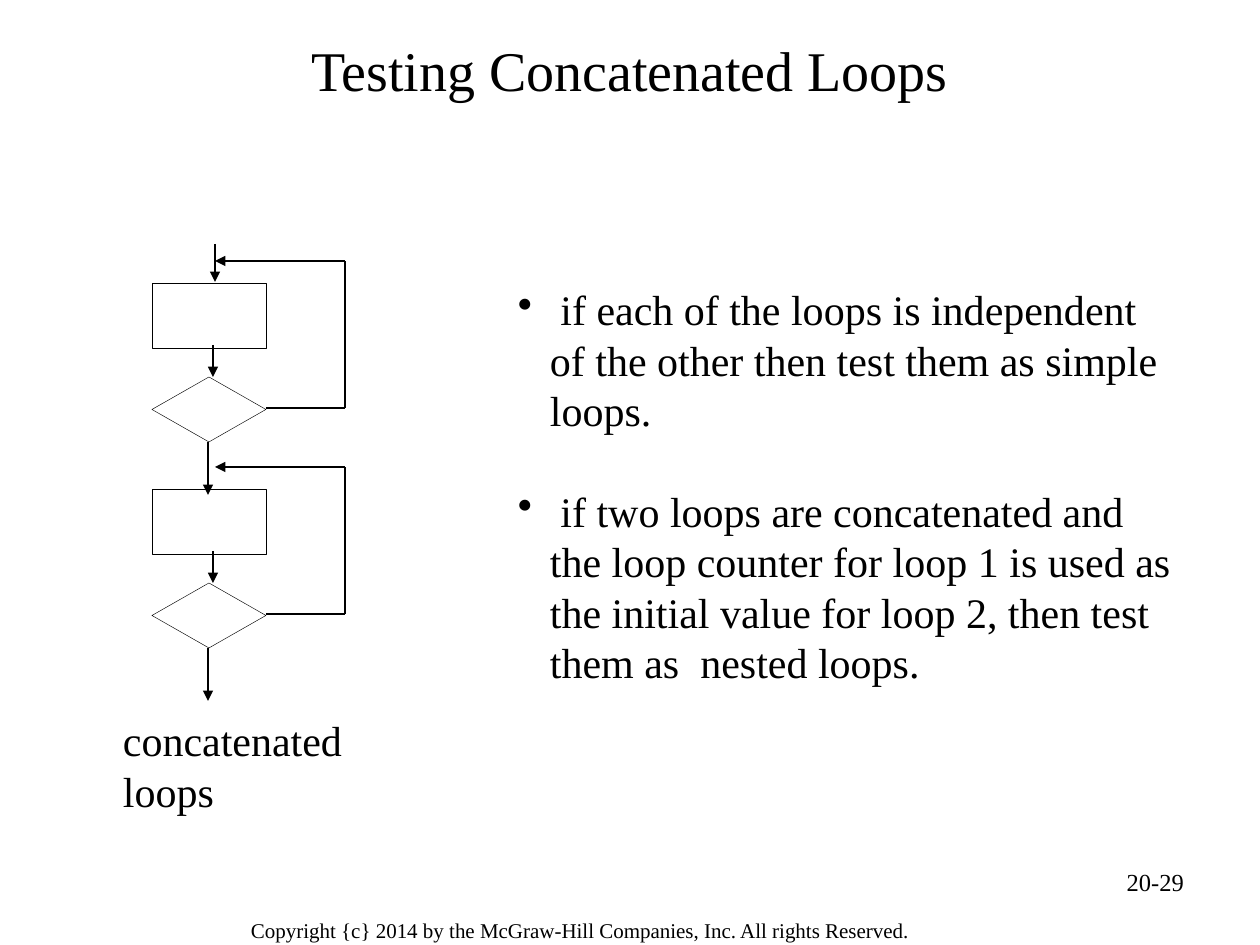
from dataclasses import dataclass

from lxml.etree import SubElement
from pptx import Presentation
from pptx.dml.color import RGBColor
from pptx.enum.shapes import MSO_CONNECTOR, MSO_SHAPE
from pptx.enum.text import MSO_ANCHOR, MSO_AUTO_SIZE, PP_ALIGN
from pptx.oxml.ns import qn
from pptx.slide import Slide
from pptx.text.text import TextFrame, _Paragraph
from pptx.util import Emu, Pt

BLACK = RGBColor(0, 0, 0)
FONT = "Times New Roman"
SCALE = 914400 / 126
LOOPS = (244, 450)
POINTS = (
    " if each of the loops is independent of the other then test them as simple loops.",
    " if two loops are concatenated and the loop counter for loop 1 is used as "
    "the initial value for loop 2, then test them as  nested loops.",
)


@dataclass(frozen=True)
class Box:
    """A place on the slide in px."""

    left: int
    top: int
    width: int
    height: int

    def emu(self) -> tuple[Emu, ...]:
        """Return the four lengths in EMU."""
        return tuple(map(px, (self.left, self.top, self.width, self.height)))


@dataclass(frozen=True)
class Label:
    """A single line of text in a box."""

    text: str
    box: Box
    size: int
    align: PP_ALIGN = PP_ALIGN.LEFT
    wrap: bool = True
    pad: tuple[int, int] = (13, 6)


@dataclass(frozen=True)
class Line:
    """A straight line, with its height counted from the top of a loop."""

    start: tuple[int, int]
    end: tuple[int, int]
    arrow: bool = True


LABELS = (
    Label("Copyright {c} 2014 by the McGraw-Hill Companies, Inc. All rights Reserved.",
          Box(237, 910, 780, 39), 12, pad=(14, 8)),
    Label("20-29", Box(903, 861, 294, 66), 14, PP_ALIGN.RIGHT),
    Label("concatenated loops", Box(110, 709, 345, 63), 24, wrap=False),
)
ENTRY = Line((215, 0), (215, 38))
LINES = (
    Line((213, 101), (213, 133)),
    Line((266, 164), (345, 164), False),
    Line((345, 164), (345, 17), False),
    Line((345, 17), (215, 17)),
    Line((208, 198), (208, 251)),
)


def px(size: int) -> Emu:
    """Turn px into EMU."""
    return Emu(round(size * SCALE))


def add_run(para: _Paragraph, text: str, size: int) -> None:
    """Add one black run to a paragraph."""
    run = para.add_run()
    run.text = text
    run.font.name = FONT
    run.font.size = Pt(size)
    run.font.color.rgb = BLACK


def add_frame(slide: Slide, box: Box, pad: tuple[int, int] = (13, 6)) -> TextFrame:
    """Add a text box and return its wrapping frame."""
    frame = slide.shapes.add_textbox(*box.emu()).text_frame
    frame.word_wrap = True
    frame.margin_left = frame.margin_right = px(pad[0])
    frame.margin_top = frame.margin_bottom = px(pad[1])
    return frame


def add_label(slide: Slide, label: Label) -> None:
    """Add a one-line label."""
    frame = add_frame(slide, label.box, label.pad)
    if not label.wrap:
        frame.word_wrap = False
        frame.auto_size = MSO_AUTO_SIZE.SHAPE_TO_FIT_TEXT
    para = frame.paragraphs[0]
    para.alignment = label.align
    add_run(para, label.text, label.size)


def add_title(slide: Slide, text: str, box: Box) -> None:
    """Place and fill the title."""
    title = slide.shapes.title
    title.left, title.top, title.width, title.height = box.emu()
    frame = title.text_frame
    frame.vertical_anchor = MSO_ANCHOR.MIDDLE
    para = frame.paragraphs[0]
    para.alignment = PP_ALIGN.CENTER
    add_run(para, text, 32)


def add_points(slide: Slide, box: Box) -> None:
    """Add the bulleted advice."""
    frame = add_frame(slide, box)
    for place, text in enumerate(POINTS):
        para = frame.add_paragraph() if place else frame.paragraphs[0]
        props = para._p.get_or_add_pPr()
        props.set("marL", str(px(63)))
        props.set("indent", str(-px(32)))
        SubElement(props, qn("a:buChar")).set("char", "•")
        para.line_spacing = Pt(28.8)
        para.space_before = Pt(28.8 if place else 0)
        add_run(para, text, 24)


def add_node(slide: Slide, kind: MSO_SHAPE, box: Box) -> None:
    """Add an unfilled node with a hairline edge."""
    node = slide.shapes.add_shape(kind, *box.emu())
    node.shadow.inherit = False
    node.fill.background()
    node.line.color.rgb = BLACK
    node.line.width = Pt(0.25)


def add_line(slide: Slide, line: Line, top: int) -> None:
    """Add a line or an arrow below the given top."""
    (x1, y1), (x2, y2) = line.start, line.end
    link = slide.shapes.add_connector(
        MSO_CONNECTOR.STRAIGHT, px(x1), px(top + y1), px(x2), px(top + y2))
    link.line.color.rgb = BLACK
    link.line.width = Pt(1)
    if line.arrow:
        SubElement(link.line._get_or_add_ln(), qn("a:tailEnd")).set("type", "triangle")
    SubElement(link._element.spPr, qn("a:effectLst"))


def add_loop(slide: Slide, top: int) -> None:
    """Add one loop of the flow chart."""
    add_node(slide, MSO_SHAPE.RECTANGLE, Box(152, top + 39, 114, 65))
    add_node(slide, MSO_SHAPE.DIAMOND, Box(152, top + 133, 114, 65))
    for line in LINES:
        add_line(slide, line, top)


def main() -> None:
    """Build and save the slide."""
    deck = Presentation()
    deck.slide_width, deck.slide_height = px(1260), px(945)
    slide = deck.slides.add_slide(deck.slide_layouts[5])
    add_title(slide, "Testing Concatenated Loops", Box(63, 23, 1134, 92))
    add_line(slide, ENTRY, LOOPS[0])
    for top in LOOPS:
        add_loop(slide, top)
    for label in LABELS:
        add_label(slide, label)
    add_points(slide, Box(474, 278, 717, 466))
    deck.save("out.pptx")


if __name__ == "__main__":
    main()
